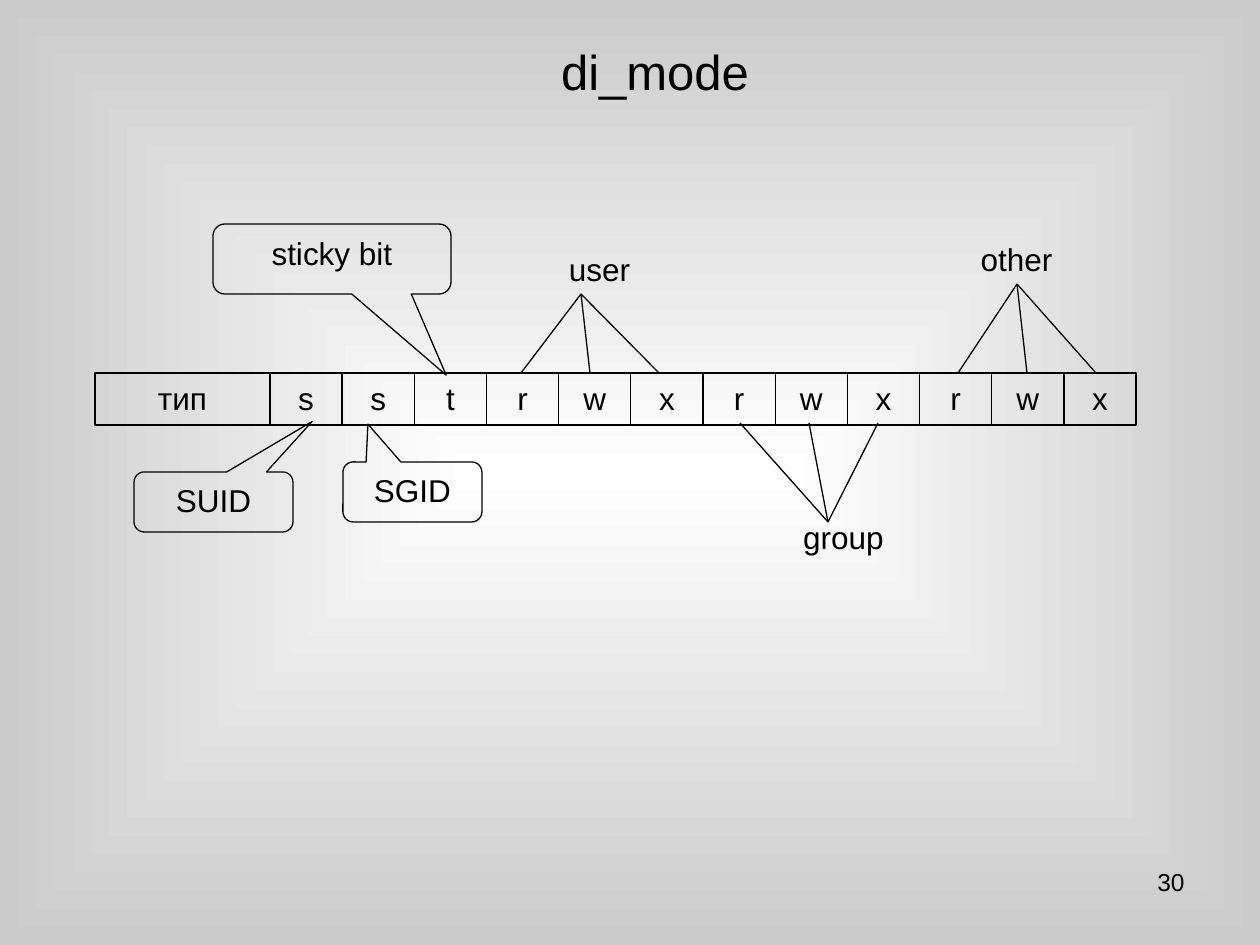
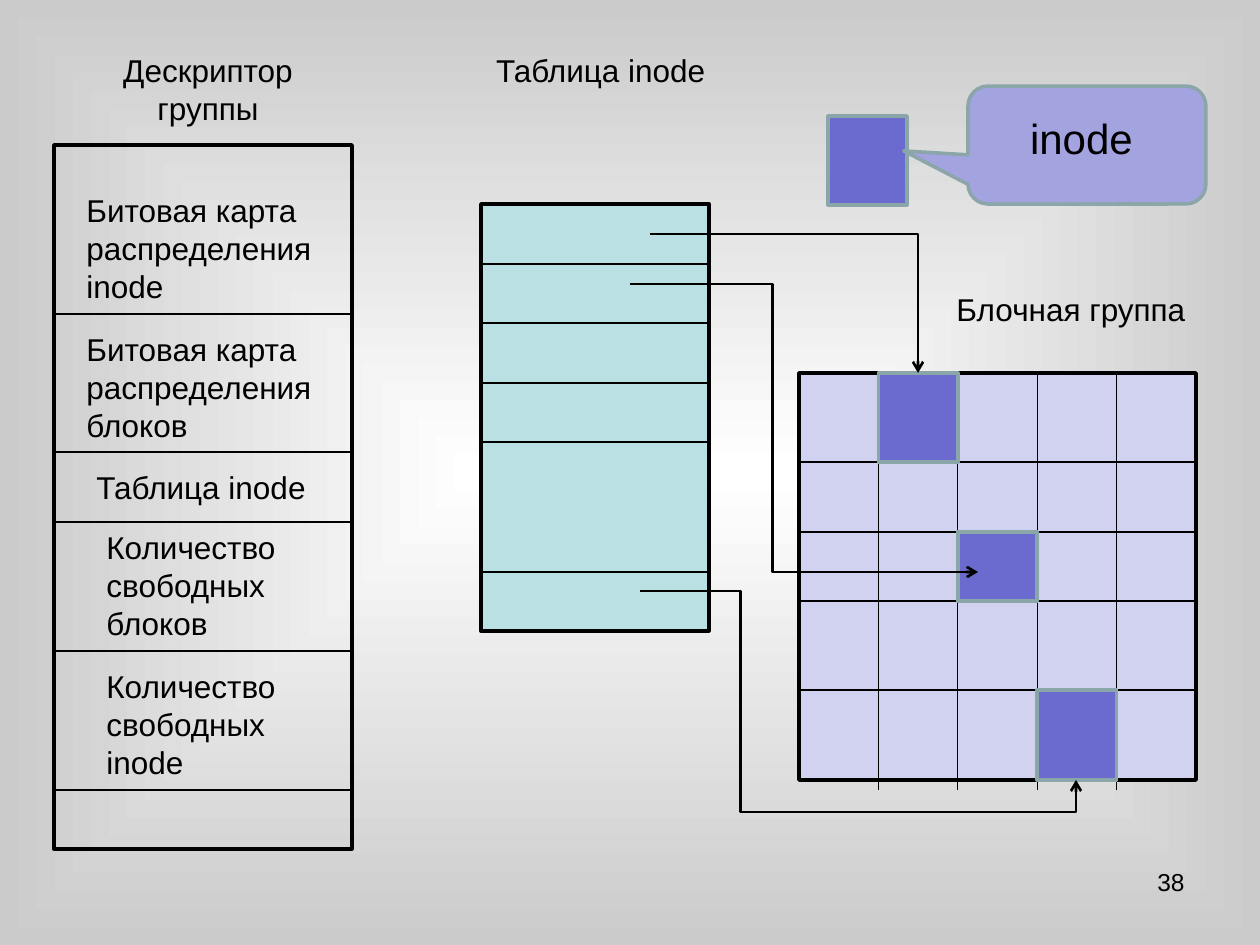
from lxml import etree
from pptx import Presentation
from pptx.dml.color import RGBColor
from pptx.enum.shapes import MSO_CONNECTOR, MSO_SHAPE
from pptx.enum.text import MSO_ANCHOR, PP_ALIGN
from pptx.oxml.ns import qn
from pptx.util import Emu, Pt

PX_PER_INCH = 126
FONT = "Arial"
BLACK = RGBColor(0x00, 0x00, 0x00)
WHITE = RGBColor(0xFF, 0xFF, 0xFF)
EDGE_GRAY = RGBColor(0xCB, 0xCB, 0xCB)
TEAL = RGBColor(0xBB, 0xE0, 0xE3)
TEAL_GRAY = RGBColor(0x8A, 0xA6, 0xA8)
LAVENDER = RGBColor(0xD1, 0xD1, 0xF0)
LILAC = RGBColor(0xA3, 0xA3, 0xE0)
VIOLET = RGBColor(0x6B, 0x6B, 0xCF)


def px(*lengths):
    return [Emu(round(length * 914400 / PX_PER_INCH)) for length in lengths]


def write(frame, text, size, align):
    frame.word_wrap = True
    frame.vertical_anchor = MSO_ANCHOR.TOP
    frame.text = text
    paragraph = frame.paragraphs[0]
    paragraph.alignment = align
    for run in paragraph.runs:
        run.font.name = FONT
        run.font.size = Pt(size)
        run.font.color.rgb = BLACK


def add_label(slide, box, text, size=18, align=PP_ALIGN.CENTER):
    label = slide.shapes.add_textbox(*px(*box))
    write(label.text_frame, text, size, align)


def add_box(shapes, box, fill=None, line=BLACK, weight=2.0, text="",
            preset=MSO_SHAPE.RECTANGLE, adjustments=()):
    shape = shapes.add_shape(preset, *px(*box))
    shape.shadow.inherit = False
    if fill is None:
        shape.fill.background()
    else:
        shape.fill.solid()
        shape.fill.fore_color.rgb = fill
    shape.line.color.rgb = line
    shape.line.width = Pt(weight)
    for index, value in enumerate(adjustments):
        shape.adjustments[index] = value
    if text:
        write(shape.text_frame, text, 18, PP_ALIGN.CENTER)


def add_callout(slide, box, tail, **style):
    add_box(slide.shapes, box, preset=MSO_SHAPE.ROUNDED_RECTANGULAR_CALLOUT,
            adjustments=(*tail, 0.17), **style)


def add_line(slide, start, end, weight, kind=MSO_CONNECTOR.STRAIGHT):
    line = slide.shapes.add_connector(kind, *px(*start, *end))
    line.line.color.rgb = BLACK
    line.line.width = Pt(weight)
    etree.SubElement(line._element.spPr, qn("a:effectLst"))
    return line


def add_elbow_arrow(slide, start, end, preset, bends=()):
    """Bends are the preset's adjustments, as fractions of its size."""
    arrow = add_line(slide, start, end, 1.5, MSO_CONNECTOR.ELBOW)
    geometry = arrow._element.spPr.find(qn("a:prstGeom"))
    geometry.set("prst", preset)
    guides = geometry.find(qn("a:avLst"))
    for number, bend in enumerate(bends, 1):
        name = "adj1" if number == 1 else f"adj{number}"
        etree.SubElement(guides, qn("a:gd"), name=name,
                         fmla=f"val {round(bend * 100000)}")
    etree.SubElement(arrow.line._get_or_add_ln(), qn("a:tailEnd"), type="arrow")


def set_background(master):
    """Fade from a white centre to gray edges."""
    fill = master.background.fill
    fill.gradient()
    for stop, color, position in zip(fill.gradient_stops, (WHITE, EDGE_GRAY), (0, 1)):
        stop.color.rgb = color
        stop.position = position
    gradient = master._element.find(".//" + qn("a:gradFill"))
    gradient.remove(gradient.find(qn("a:lin")))
    path = etree.SubElement(gradient, qn("a:path"), path="shape")
    etree.SubElement(path, qn("a:fillToRect"),
                     {side: "50000" for side in "ltrb"})


def add_slide(prs, number):
    slide = prs.slides.add_slide(prs.slide_layouts[6])
    add_label(slide, (903, 861, 294, 66), str(number), 14, PP_ALIGN.RIGHT)
    return slide


def add_mode_bits(slide, box):
    left, top, width, height = box
    type_width = 175
    bits = "sst" + "rwx" * 3
    bit_width = (width - type_width) / len(bits)
    cells = slide.shapes.add_group_shape().shapes
    add_box(cells, (left, top, type_width, height), weight=0.75, text="тип")
    for index, bit in enumerate(bits):
        bit_left = left + type_width + index * bit_width
        add_box(cells, (bit_left, top, bit_width, height), weight=0.75, text=bit)


def add_permission_fan(slide, label_box, owner, apex, first_bit):
    """Join an owner's label to its three neighbouring bits."""
    add_label(slide, label_box, owner)
    bit_left, bit_top = first_bit
    for index in range(3):
        add_line(slide, apex, (bit_left + 69 * index, bit_top), 0.75)


def build_mode_slide(prs):
    slide = add_slide(prs, 30)
    add_label(slide, (412, 35, 486, 72), "di_mode", 28)
    add_mode_bits(slide, (95, 373, 1041, 52))
    for name, box, tail in (
        ("SUID", (134, 472, 159, 60), (0.62, -1.34)),
        ("SGID", (343, 462, 139, 60), (-0.32, -1.13)),
        ("sticky bit", (213, 224, 238, 70), (0.48, 1.66)),
    ):
        add_callout(slide, box, tail, weight=0.75, text=name)
    add_permission_fan(slide, (520, 244, 159, 50), "user", (581, 294), (521, 373))
    add_permission_fan(slide, (759, 512, 169, 50), "group", (828, 522), (740, 423))
    add_permission_fan(slide, (917, 234, 199, 50), "other", (1017, 284), (958, 373))


def add_divided_box(slide, box, dividers, fill=None, weight=1.5):
    left, top, width, _ = box
    add_box(slide.shapes, box, fill)
    for offset in dividers:
        add_line(slide, (left, top + offset), (left + width, top + offset), weight)


def add_group_descriptor(slide, box):
    left, top, _, _ = box
    add_label(slide, (left + 20, top - 100, 268, 89), "Дескриптор группы")
    add_divided_box(slide, box, (169, 307, 377, 506, 645))
    for field, x, y, width, height in (
        ("Битовая карта распределения inode", 20, 40, 268, 128),
        ("Битовая карта распределения блоков", 20, 179, 268, 128),
        ("Таблица inode", 30, 317, 250, 50),
        ("Количество свободных блоков", 40, 377, 198, 128),
        ("Количество свободных inode", 40, 516, 198, 128),
    ):
        add_label(slide, (left + x, top + y, width, height), field,
                  align=PP_ALIGN.LEFT)


def add_inode_table(slide, box):
    left, top, _, _ = box
    add_label(slide, (left - 10, top - 159, 268, 50), "Таблица inode ")
    add_divided_box(slide, box, (60, 119, 179, 238, 368), TEAL)


def add_inode_block(slide, box):
    add_box(slide.shapes, box, VIOLET, TEAL_GRAY)


def add_block_group(slide, box):
    left, top, width, height = box
    columns = 5
    column_width = width / columns
    row_edges = (0, 89, 159, 228, 317, height)
    add_label(slide, (left + 108, top - 89, 328, 50), "Блочная группа")
    add_divided_box(slide, box, row_edges[1:-1], LAVENDER, 0.75)
    for column in range(1, columns):
        x = left + column * column_width
        add_line(slide, (x, top), (x, top + height + 10), 0.75)
    for column, row in ((1, 0), (2, 2), (3, 4)):
        row_top, row_bottom = row_edges[row:row + 2]
        add_inode_block(slide, (left + column * column_width, top + row_top,
                                column_width, row_bottom - row_top))


def add_inode_legend(slide, box):
    left, top, width, _ = box
    add_inode_block(slide, (left, top + 30, 79, 89))
    add_callout(slide, (left + 140, top, width - 140, 118), (-0.77, 0.05),
                fill=LILAC, line=TEAL_GRAY)
    add_label(slide, (left + 159, top + 20, 189, 63), "inode", 24)


def build_inode_slide(prs):
    slide = add_slide(prs, 38)
    add_group_descriptor(slide, (54, 145, 298, 704))
    add_inode_table(slide, (481, 204, 228, 427))
    add_block_group(slide, (799, 373, 397, 407))
    add_inode_legend(slide, (828, 86, 378, 119))
    add_elbow_arrow(slide, (650, 234), (918, 373), "bentConnector2")
    add_elbow_arrow(slide, (630, 284), (978, 572), "bentConnector3", (0.41,))
    add_elbow_arrow(slide, (640, 591), (1076, 780), "bentConnector4", (0.23, 1.17))


def main():
    prs = Presentation()
    prs.slide_width, prs.slide_height = px(1260, 945)
    set_background(prs.slide_master)
    build_mode_slide(prs)
    build_inode_slide(prs)
    prs.save("out.pptx")


if __name__ == "__main__":
    main()
